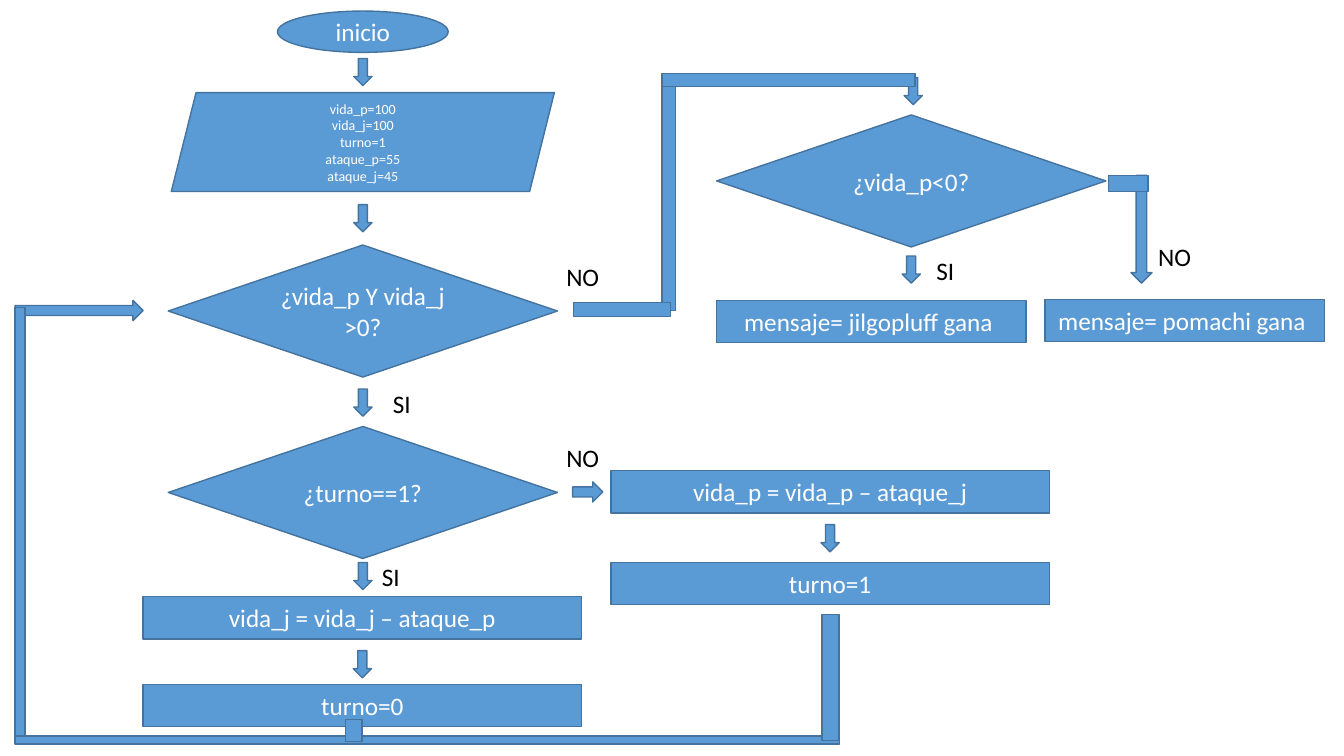
from dataclasses import dataclass

from pptx import Presentation
from pptx import util as u
from pptx.dml.color import RGBColor
from pptx.enum import shapes, text

KIND = shapes.MSO_SHAPE
BLUE, EDGE, WHITE, BLACK = "5B9BD5", "43739E", "FFFFFF", "000000"
ARROW_WIDTH, ARROW_HEIGHT = 13, 19.4
STEP_HEIGHT = 30.2


@dataclass
class Box:
    """A frame in points."""
    left: float
    top: float
    width: float
    height: float

    @property
    def right(self):
        return self.left + self.width

    @property
    def bottom(self):
        return self.top + self.height

    @property
    def middle(self):
        return self.left + self.width / 2

    def inner(self, left, top, width, height):
        return Box(self.left + left, self.top + top, width, height)

    def lengths(self):
        return [u.Pt(n) for n in (self.left, self.top, self.width, self.height)]


def colour(value):
    return RGBColor.from_string(value)


def write(frame, lines, size, ink, align):
    frame.word_wrap = True
    for number, line in enumerate(lines):
        para = frame.add_paragraph() if number else frame.paragraphs[0]
        para.text = line
        para.alignment = align
        para.font.size = u.Pt(size)
        para.font.name = "Calibri"
        para.font.color.rgb = colour(ink)


def add_block(page, kind, box, *lines, size=18):
    block = page.shapes.add_shape(kind, *box.lengths())
    block.shadow.inherit = False
    block.fill.solid()
    block.fill.fore_color.rgb = colour(BLUE)
    block.line.color.rgb = colour(EDGE)
    block.line.width = u.Pt(1)
    if lines:
        block.text_frame.vertical_anchor = text.MSO_ANCHOR.MIDDLE
        write(block.text_frame, lines, size, WHITE, text.PP_ALIGN.CENTER)


def add_down_arrow(page, middle, top):
    box = Box(middle - ARROW_WIDTH / 2, top, ARROW_WIDTH, ARROW_HEIGHT)
    add_block(page, KIND.DOWN_ARROW, box)


def add_answer(page, left, top, answer):
    label = page.shapes.add_textbox(*Box(left, top, 66.2, 29).lengths())
    label.text_frame.auto_size = text.MSO_AUTO_SIZE.SHAPE_TO_FIT_TEXT
    write(label.text_frame, [answer], 18, BLACK, text.PP_ALIGN.LEFT)


def add_start(page, box):
    add_block(page, KIND.PARALLELOGRAM, box.inner(0, 58.3, box.width, 70.6),
              "vida_p=100", "vida_j=100", "turno=1", "ataque_p=55", "ataque_j=45",
              size=10)
    add_block(page, KIND.OVAL, box.inner((box.width - 122) / 2, 0, 122, 29.5), "inicio")
    for drop in (33.9, 138.3):
        add_down_arrow(page, box.middle, box.top + drop)


def add_decision(page, box, question, gap, yes_shift, no_shift=(-0.8, 7.9)):
    """Diamond with a SI arrow below it; no_shift runs from its top right corner."""
    add_block(page, KIND.DIAMOND, box, question)
    add_down_arrow(page, box.middle, box.bottom + gap)
    add_answer(page, box.middle + yes_shift, box.bottom + gap - 4.2, "SI")
    add_answer(page, box.right + no_shift[0], box.top + no_shift[1], "NO")


def add_turn(page, box, attack, next_turn):
    """Two steps at the top and bottom of the box, joined by an arrow."""
    add_block(page, KIND.RECTANGLE, box.inner(0, 0, box.width, STEP_HEIGHT), attack)
    add_block(page, KIND.RECTANGLE,
              box.inner(0, box.height - STEP_HEIGHT, box.width, STEP_HEIGHT), next_turn)
    add_down_arrow(page, box.middle, box.top + STEP_HEIGHT + 8.4)


def add_route(page, box, parts):
    """Thick path made of blocks placed from the corner of the box."""
    for kind, *place in parts:
        add_block(page, kind, box.inner(*place))


def add_loop_back(page, box):
    add_route(page, box, [
        (KIND.RIGHT_ARROW, 0, 0, 91.4, 14.4),
        (KIND.RECTANGLE, 0, 5, 7.2, box.height - 6.5),
        (KIND.RECTANGLE, 0, box.height - 5.8, box.width, 5.8),
        (KIND.RECTANGLE, 236.2, box.height - 17.3, 11.5, 15.8),
        (KIND.RECTANGLE, box.width - 12.6, box.height - 92.6, 12.2, 90),
    ])


def add_exit_route(page, box):
    add_down_arrow(page, box.right - 1.4, box.top + 2.8)
    add_route(page, box, [
        (KIND.RECTANGLE, 63.3, 3.6, 9.4, 165.6),
        (KIND.RECTANGLE, 0, box.height - 10.1, 69.1, 10.1),
        (KIND.RECTANGLE, 63.3, 0, 180.7, 9.4),
    ])


def add_outcomes(page, box):
    add_route(page, box, [
        (KIND.DOWN_ARROW, 295.9, 0, 15.1, 77),
        (KIND.RECTANGLE, 280.1, 0, 28.1, 11.5),
    ])
    add_block(page, KIND.RECTANGLE, box.inner(0, 89.3, 221, STEP_HEIGHT),
              "mensaje= jilgopluff gana ")
    add_block(page, KIND.RECTANGLE,
              box.inner(box.width - 199.4, 88.5, 199.4, STEP_HEIGHT),
              "mensaje= pomachi gana ")


def main():
    deck = Presentation()
    deck.slide_width, deck.slide_height = u.Pt(960), u.Pt(540)
    page = deck.slides.add_slide(deck.slide_layouts[6])

    add_start(page, Box(122.4, 7.9, 273.6, 157.7))
    add_decision(page, Box(120.2, 175, 278, 94.3), "¿vida_p Y vida_j >0?", 8.6, 14.4)
    add_decision(page, Box(120.2, 304.6, 278, 94.3), "¿turno==1?", 2.9, 6.5)
    add_block(page, KIND.RIGHT_ARROW, Box(409, 344.2, 21.6, 14.4))
    add_turn(page, Box(102.2, 426.2, 313.2, 92.9), "vida_j = vida_j – ataque_p", "turno=0")
    add_turn(page, Box(436.3, 336.2, 313.2, 95.8), "vida_p = vida_p – ataque_j", "turno=1")
    add_loop_back(page, Box(10.8, 214.6, 589, 316.8))
    add_exit_route(page, Box(409.7, 52.6, 244, 173.5))
    add_decision(page, Box(511.9, 82.1, 278, 94.3), "¿vida_p<0?", 6.5, 10.8, (30.2, 86.4))
    add_outcomes(page, Box(511.9, 125.3, 434.1, 119.5))

    deck.save("out.pptx")


if __name__ == "__main__":
    main()
